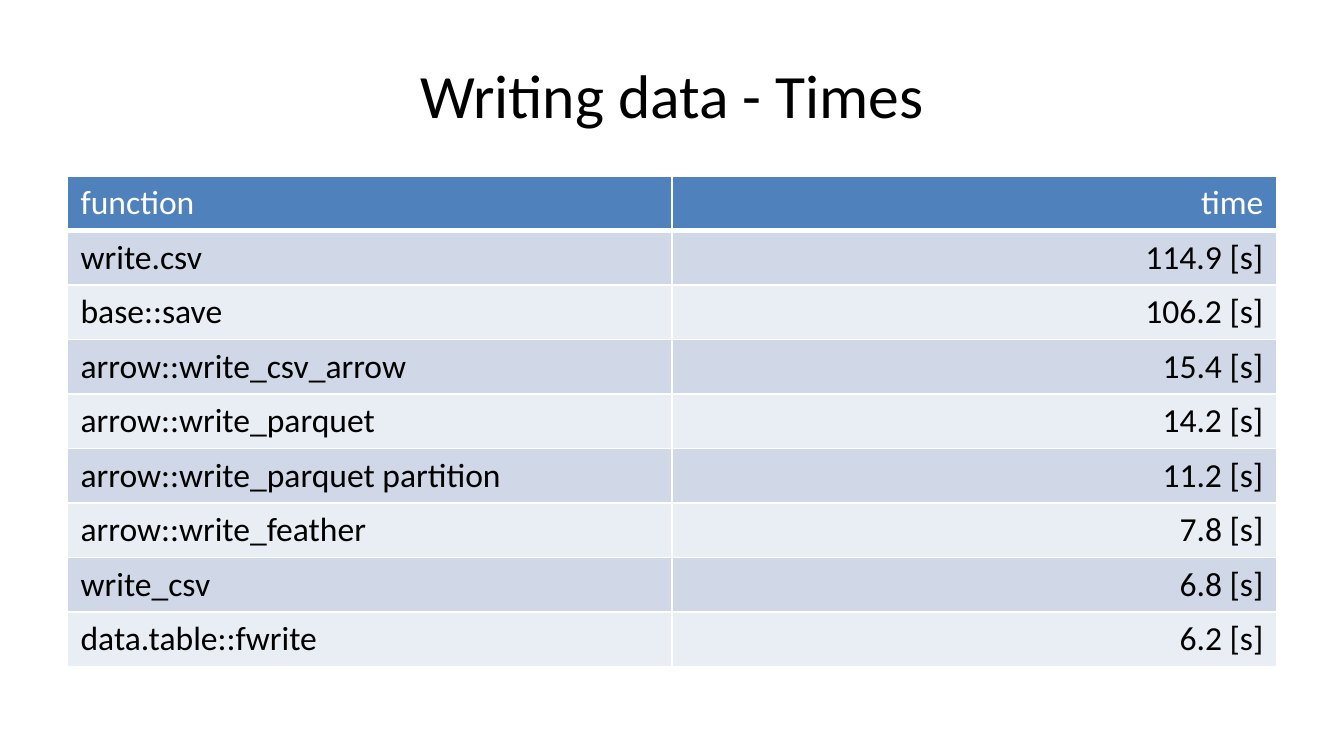
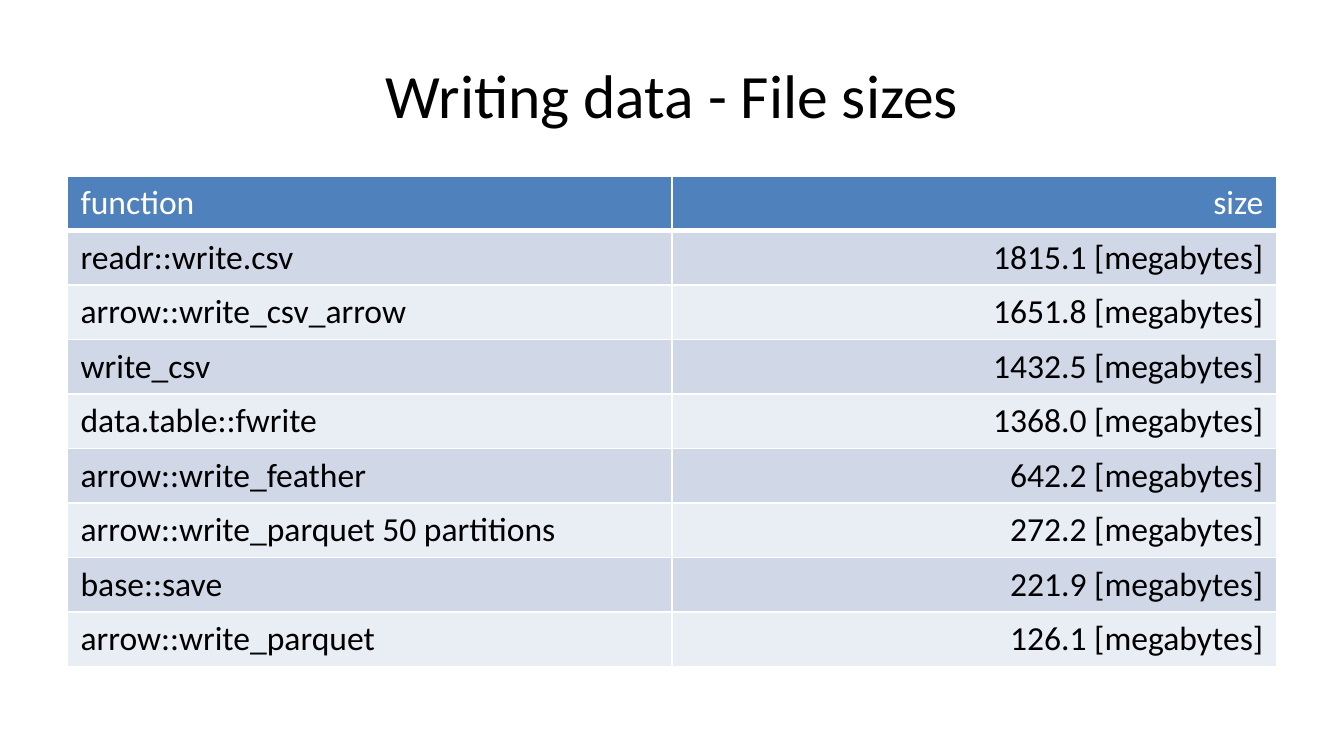
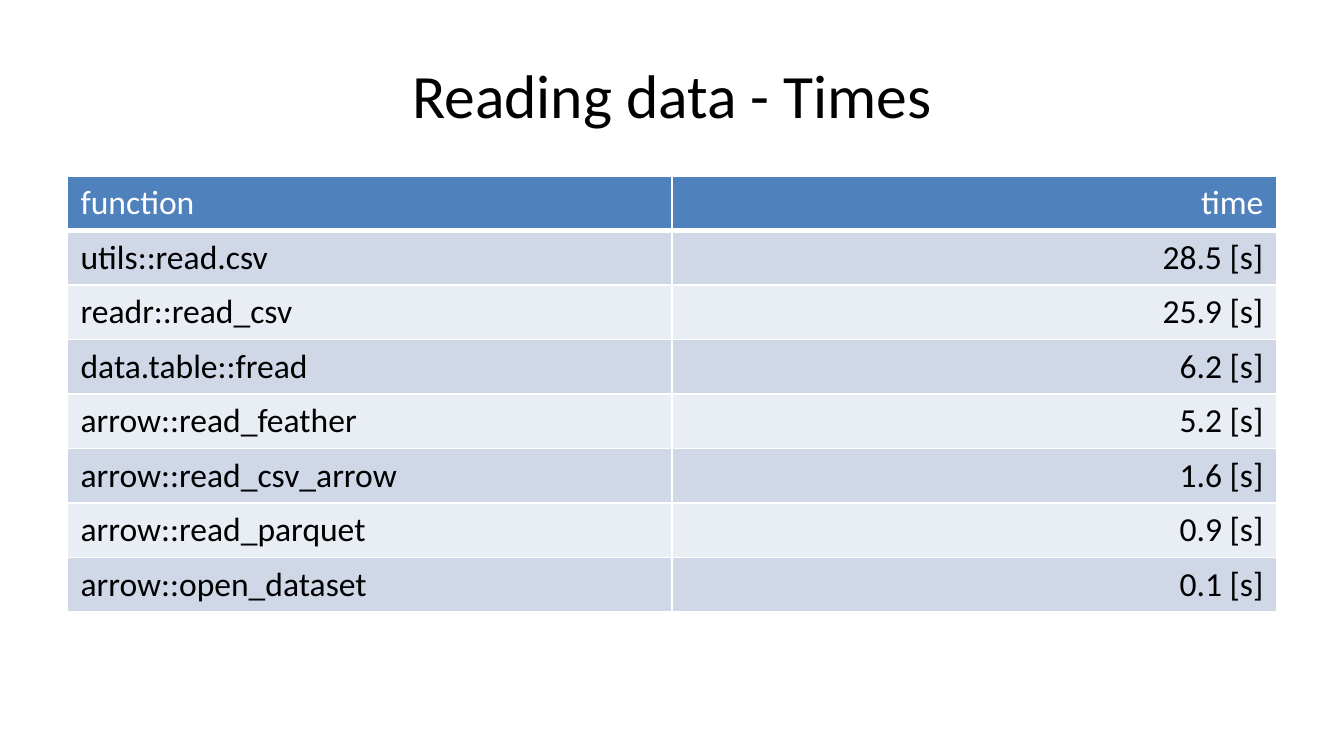
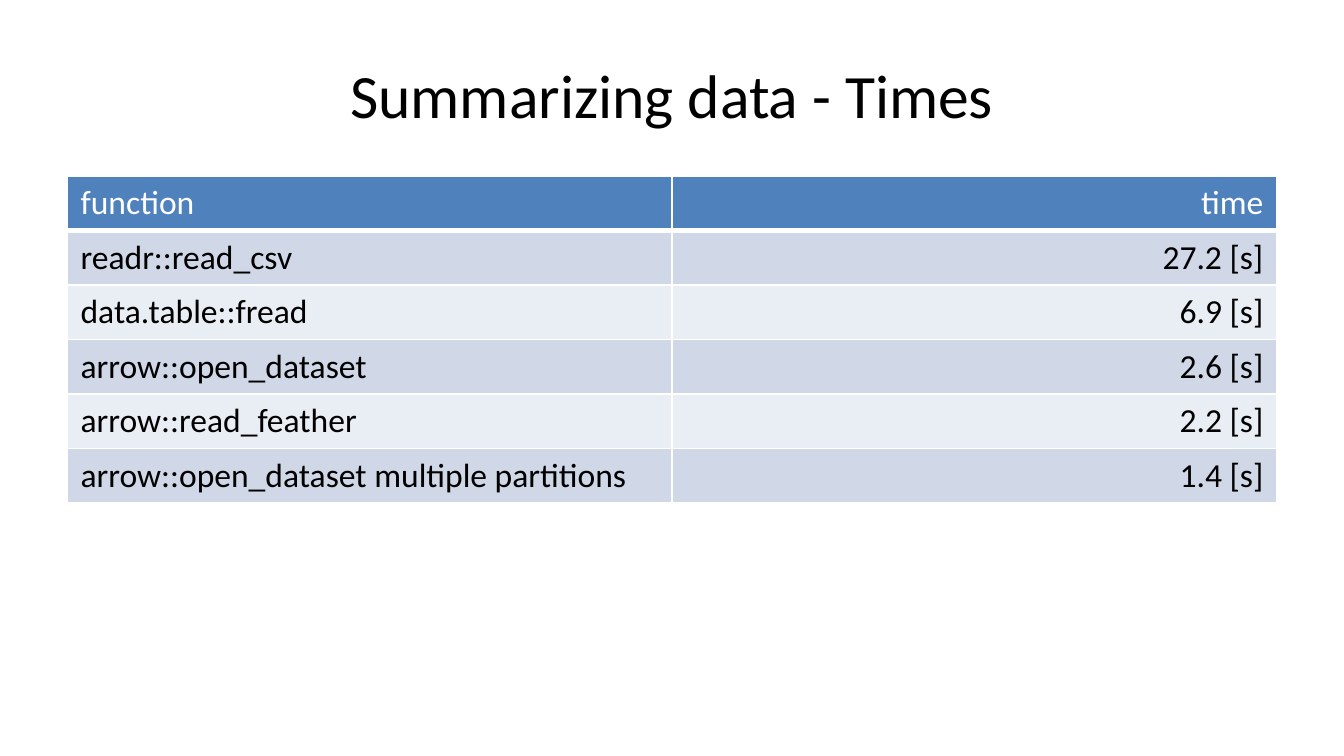
from lxml import etree
from pptx import Presentation
from pptx import util as u
from pptx.dml.color import RGBColor
from pptx.enum import text
from pptx.oxml import ns

PX = 4572  # 200 px to the inch
HUES = {"head": "4F81BD", "odd": "D0D8E8", "even": "E9EDF4",
        "ink": "000000", "white": "FFFFFF"}
FONT = "Calibri"
SIZE = (2000, 1125)
TITLE = (100, 45, 1800, 188)
LEFT, TOP, WIDTH, ROW = 100, 262, 1800, 81

# title, measure, unit, (function, value) rows
SLIDES = [
    ("Writing data - Times", "time", "s", [
        ("write.csv", "114.9"),
        ("base::save", "106.2"),
        ("arrow::write_csv_arrow", "15.4"),
        ("arrow::write_parquet", "14.2"),
        ("arrow::write_parquet partition", "11.2"),
        ("arrow::write_feather", "7.8"),
        ("write_csv", "6.8"),
        ("data.table::fwrite", "6.2"),
    ]),
    ("Writing data - File sizes", "size", "megabytes", [
        ("readr::write.csv", "1815.1"),
        ("arrow::write_csv_arrow", "1651.8"),
        ("write_csv", "1432.5"),
        ("data.table::fwrite", "1368.0"),
        ("arrow::write_feather", "642.2"),
        ("arrow::write_parquet 50 partitions", "272.2"),
        ("base::save", "221.9"),
        ("arrow::write_parquet", "126.1"),
    ]),
    ("Reading data - Times", "time", "s", [
        ("utils::read.csv", "28.5"),
        ("readr::read_csv", "25.9"),
        ("data.table::fread", "6.2"),
        ("arrow::read_feather", "5.2"),
        ("arrow::read_csv_arrow", "1.6"),
        ("arrow::read_parquet", "0.9"),
        ("arrow::open_dataset", "0.1"),
    ]),
    ("Summarizing data - Times", "time", "s", [
        ("readr::read_csv", "27.2"),
        ("data.table::fread", "6.9"),
        ("arrow::open_dataset", "2.6"),
        ("arrow::read_feather", "2.2"),
        ("arrow::open_dataset multiple partitions", "1.4"),
    ]),
]


def style(par, size, hue, align):
    par.alignment = align
    font = par.font
    font.name, font.size, font.bold = FONT, u.Pt(size), False
    font.color.rgb = RGBColor.from_string(HUES[hue])


def add_title(slide, words):
    title = slide.shapes.title
    title.left, title.top, title.width, title.height = (n * PX for n in TITLE)
    title.text = words
    style(title.text_frame.paragraphs[0], 33, "ink", text.PP_ALIGN.CENTER)


def add_rules(cell, base):
    """Draw white cell borders, the bottom one base points wide."""
    props = cell._tc.get_or_add_tcPr()
    for side, width in (("L", 1), ("R", 1), ("T", 1), ("B", base)):
        line = etree.SubElement(props, ns.qn("a:ln" + side), w=str(u.Pt(width)))
        fill = etree.SubElement(line, ns.qn("a:solidFill"))
        etree.SubElement(fill, ns.qn("a:srgbClr"), val=HUES["white"])


def fill_cell(cell, words, row, col):
    head = row == 0
    add_rules(cell, 3 if head else 1)
    band = "head" if head else "odd" if row % 2 else "even"
    cell.fill.solid()
    cell.fill.fore_color.rgb = RGBColor.from_string(HUES[band])
    cell.text = words
    align = text.PP_ALIGN.RIGHT if col else text.PP_ALIGN.LEFT
    style(cell.text_frame.paragraphs[0], 18, "white" if head else "ink", align)


def add_grid(slide, rows):
    frame = slide.shapes.add_table(len(rows), 2, LEFT * PX, TOP * PX,
                                   WIDTH * PX, ROW * len(rows) * PX)
    for r, row in enumerate(rows):
        for c, words in enumerate(row):
            fill_cell(frame.table.cell(r, c), words, r, c)


def main():
    deck = Presentation()
    deck.slide_width, deck.slide_height = (n * PX for n in SIZE)
    for title, measure, unit, data in SLIDES:
        slide = deck.slides.add_slide(deck.slide_layouts.get_by_name("Title Only"))
        add_title(slide, title)
        rows = [(name, f"{value} [{unit}]") for name, value in data]
        add_grid(slide, [("function", measure)] + rows)
    deck.save("out.pptx")


if __name__ == "__main__":
    main()
